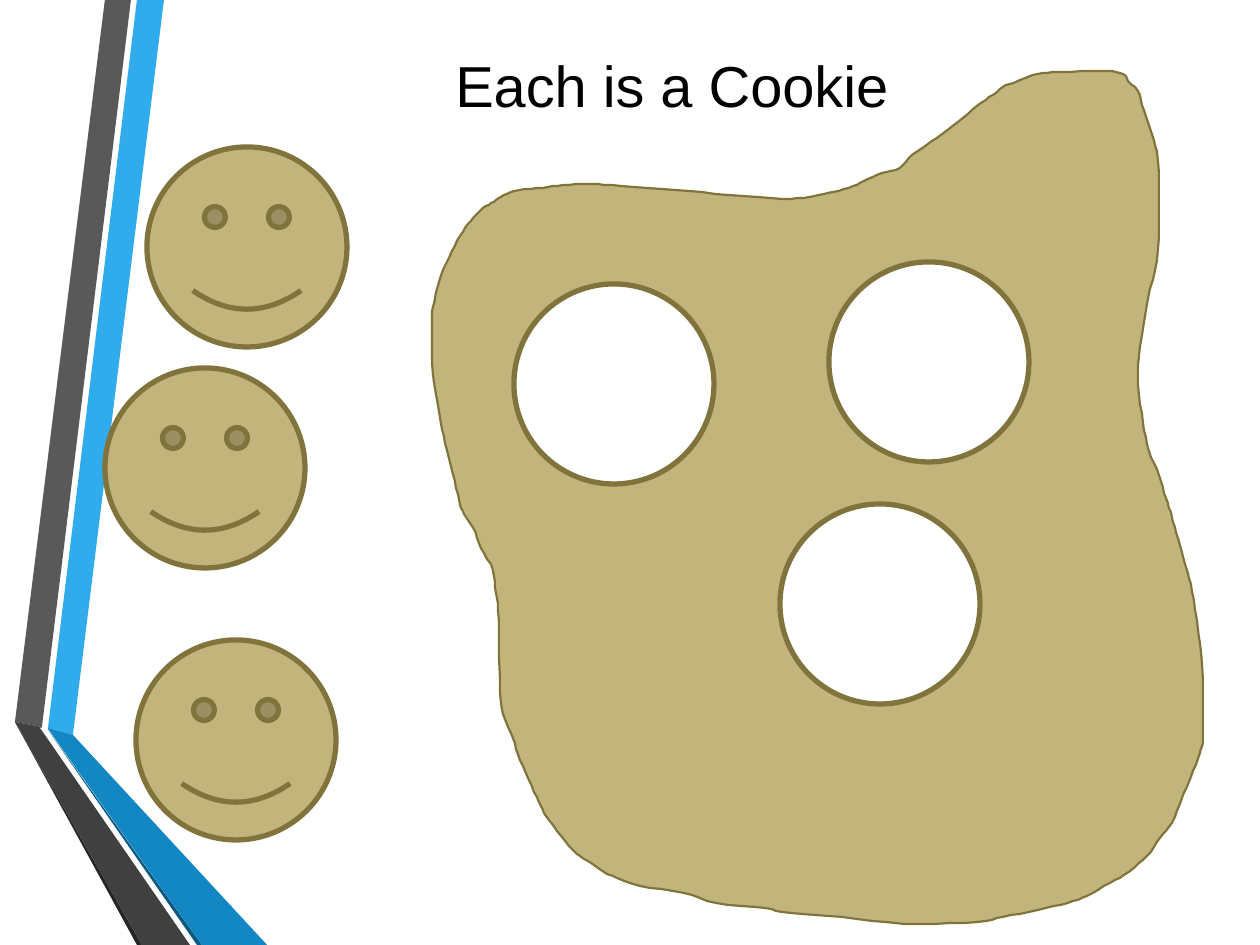
"""Build the cookie slide: a dough shape with three holes and three smiling cookies."""
from dataclasses import dataclass

from pptx import Presentation
from pptx.dml.color import RGBColor
from pptx.enum import shapes, text
from pptx.util import Pt

PX = 914400 // 126
WIDTH, HEIGHT = 1260, 945
COOKIE_SIZE = 200
CURVE_STEPS = 4

WHITE = RGBColor(0xFF, 0xFF, 0xFF)
BLACK = RGBColor(0x00, 0x00, 0x00)
DOUGH = RGBColor(0xC2, 0xB5, 0x7C)
CRUST = RGBColor(0x80, 0x73, 0x3C)
BLUE = RGBColor(0x30, 0xAC, 0xEC)
MID_BLUE = RGBColor(0x12, 0x87, 0xC3)
DEEP_BLUE = RGBColor(0x0C, 0x5A, 0x82)
GREY = RGBColor(0x59, 0x59, 0x59)
DARK_GREY = RGBColor(0x40, 0x40, 0x40)
DEEP_GREY = RGBColor(0x26, 0x26, 0x26)

Point = tuple[float, float]


@dataclass(frozen=True)
class Band:
    color: RGBColor
    points: list[Point]


@dataclass(frozen=True)
class Disc:
    left: int
    top: int
    kind: shapes.MSO_SHAPE
    fill: RGBColor


BANDS = [
    Band(BLUE, [(48, 728), (73, 735), (164, 0), (137, 0)]),
    Band(GREY, [(131, 0), (105, 0), (15, 722), (42, 727)]),
    Band(DEEP_GREY, [(15, 722), (137, 945), (142, 945)]),
    Band(DEEP_BLUE, [(48, 730), (197, 945), (202, 945)]),
    Band(MID_BLUE, [(48, 729), (202, 945), (267, 945), (73, 735), (48, 728)]),
    Band(DARK_GREY, [(190, 945), (45, 735), (40, 728), (42, 727), (15, 722), (142, 945)]),
]

HOLES = [Disc(left, top, shapes.MSO_SHAPE.OVAL, WHITE)
         for left, top in [(514, 284), (829, 262), (780, 504)]]
COOKIES = [Disc(left, top, shapes.MSO_SHAPE.SMILEY_FACE, DOUGH)
           for left, top in [(147, 147), (105, 368), (136, 640)]]

DOUGH_EDGE = [
    (900, 168), (882, 173), (864, 181), (849, 188), (828, 193), (810, 197), (782, 199),
    (728, 195), (675, 190), (621, 186), (591, 184), (563, 185), (543, 188), (520, 190),
    (504, 195), (494, 202), (483, 208), (471, 221), (460, 236), (450, 256), (442, 273),
    (435, 299), (432, 319), (433, 374), (437, 399), (441, 423), (447, 450), (455, 481),
    (460, 504), (466, 517), (474, 529), (481, 548), (493, 570), (496, 593), (499, 620),
    (500, 692), (505, 719), (513, 738), (520, 760), (532, 786), (541, 806), (549, 820),
    (566, 842), (577, 854), (591, 863), (604, 872), (617, 878), (640, 886), (684, 893),
    (716, 903), (765, 908), (782, 912), (828, 916), (885, 922), (922, 924), (978, 922),
    (1003, 917), (1038, 910), (1068, 903), (1087, 896), (1110, 883), (1129, 872),
    (1147, 856), (1160, 838), (1172, 823), (1182, 798), (1191, 777), (1200, 753),
    (1203, 735), (1202, 662), (1198, 629), (1192, 591), (1186, 567), (1178, 538),
    (1172, 517), (1166, 498), (1159, 475), (1149, 451), (1143, 422), (1138, 384),
    (1140, 347), (1148, 299), (1157, 261), (1159, 214), (1158, 160), (1152, 134),
    (1144, 110), (1138, 91), (1130, 83), (1123, 74), (1105, 71), (1060, 72), (1038, 74),
    (1018, 81), (1003, 87), (993, 95), (977, 106), (958, 122), (941, 135), (924, 147),
    (912, 155),
]


def smooth(points: list[Point]) -> list[Point]:
    """Return a closed Catmull-Rom curve through the points."""
    curve = []
    for i, b in enumerate(points):
        a, c, d = points[i - 1], points[(i + 1) % len(points)], points[(i + 2) % len(points)]
        for step in range(CURVE_STEPS):
            t = step / CURVE_STEPS
            x, y = (q + (r - p) * t / 2 + (2 * p - 5 * q + 4 * r - s) * t ** 2 / 2
                    + (3 * q - p - 3 * r + s) * t ** 3 / 2
                    for p, q, r, s in zip(a, b, c, d))
            curve.append((x, y))
    return curve


def paint(shape, fill: RGBColor, line_width: float = 0) -> None:
    """Fill a shape and give it a crust line when a width is set."""
    shape.shadow.inherit = False
    shape.fill.solid()
    shape.fill.fore_color.rgb = fill
    if line_width:
        shape.line.color.rgb = CRUST
        shape.line.width = Pt(line_width)
    else:
        shape.line.fill.background()


def draw_outline(parent, points: list[Point], fill: RGBColor, line_width: float = 0) -> None:
    """Draw a closed outline through the points."""
    builder = parent.build_freeform(*points[0], scale=PX)
    builder.add_line_segments(points[1:], close=True)
    paint(builder.convert_to_shape(), fill, line_width)


def draw_disc(parent, disc: Disc) -> None:
    """Draw a round shape of cookie size."""
    size = COOKIE_SIZE * PX
    paint(parent.add_shape(disc.kind, disc.left * PX, disc.top * PX, size, size), disc.fill, 3)


def set_title(box) -> None:
    """Place, write and format the title."""
    box.left, box.top, box.width, box.height = (n * PX for n in (154, 32, 1036, 105))
    frame = box.text_frame
    frame.text = "Each is a Cookie"
    frame.auto_size = text.MSO_AUTO_SIZE.NONE
    frame.vertical_anchor = text.MSO_ANCHOR.MIDDLE
    para = frame.paragraphs[0]
    para.alignment = text.PP_ALIGN.CENTER
    span = para.runs[0]
    span.font.name = "Arial"
    span.font.size = Pt(33)
    span.font.color.rgb = BLACK


def main() -> None:
    """Build and save the deck."""
    deck = Presentation()
    deck.slide_width, deck.slide_height = WIDTH * PX, HEIGHT * PX
    page = deck.slides.add_slide(deck.slide_layouts.get_by_name("Title Only"))
    page.background.fill.solid()
    page.background.fill.fore_color.rgb = WHITE

    ribbon = page.shapes.add_group_shape().shapes
    for band in BANDS:
        draw_outline(ribbon, band.points, band.color)

    set_title(page.shapes.title)

    dough = page.shapes.add_group_shape().shapes
    draw_outline(dough, smooth(DOUGH_EDGE), DOUGH, 1.25)
    for hole in HOLES:
        draw_disc(dough, hole)
    for cookie in COOKIES:
        draw_disc(page.shapes, cookie)

    deck.save("out.pptx")


if __name__ == "__main__":
    main()
